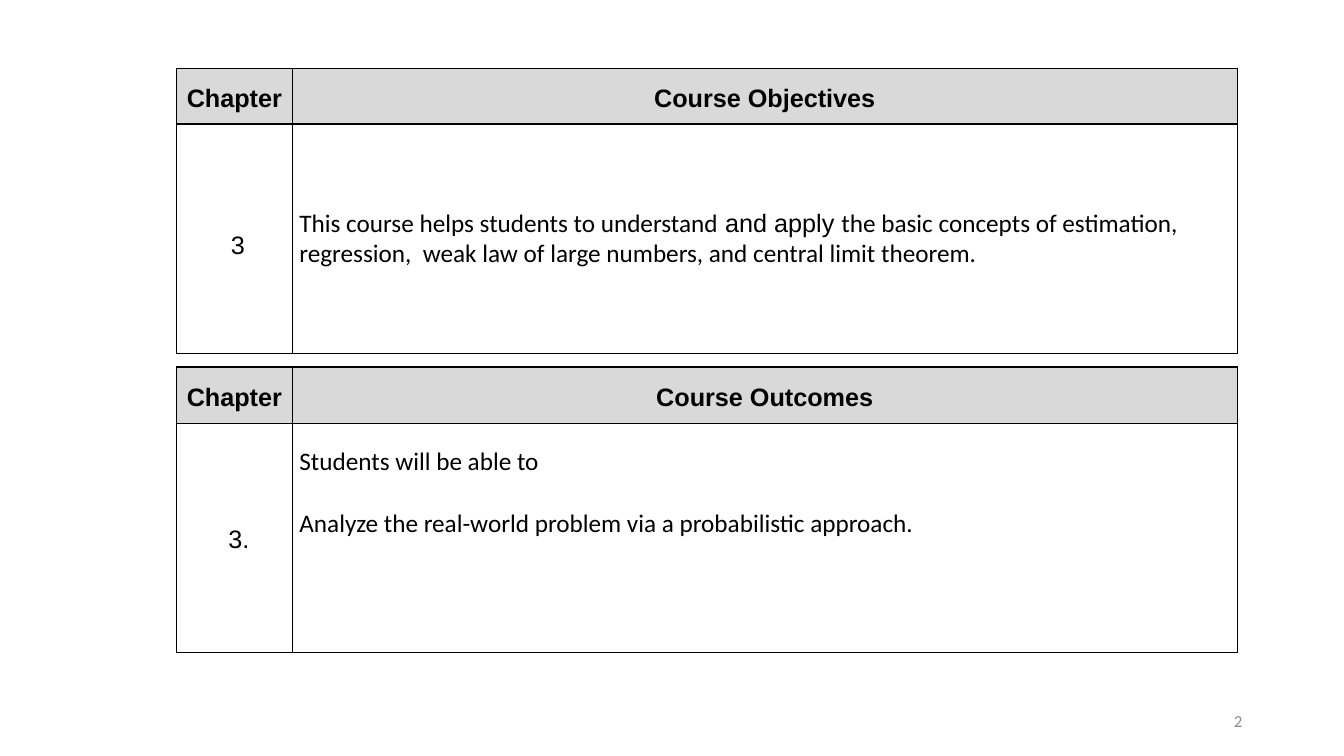
from dataclasses import dataclass

from lxml.etree import SubElement
from pptx import Presentation
from pptx.dml.color import RGBColor
from pptx.enum.text import MSO_ANCHOR as Anchor, PP_ALIGN as Align
from pptx.oxml.ns import qn
from pptx.slide import Slide
from pptx.table import _Cell as Cell
from pptx.util import Inches, Pt


@dataclass(frozen=True)
class Theme:
    ink: str = "000000"
    header_fill: str = "D9D9D9"
    muted: str = "8C8C8C"
    heading_font: str = "Arial"
    body_font: str = "Calibri"
    text_size: float = 18
    number_size: float = 12
    border_width: float = 1


THEME = Theme()


@dataclass(frozen=True)
class Span:
    text: str
    font: str = THEME.body_font
    bold: bool = False
    size: float = THEME.text_size
    color: str = THEME.ink


@dataclass(frozen=True)
class Para:
    spans: tuple[Span, ...]
    align: Align = Align.LEFT
    line_spacing: float = 1.0
    before: float = 0
    after: float = 0
    left: float = 0
    indent: float = 0


@dataclass(frozen=True)
class CellText:
    paras: tuple[Para, ...]
    anchor: Anchor = Anchor.MIDDLE
    top_margin: float = 0
    fill: str = ""


@dataclass(frozen=True)
class CourseTable:
    top: float
    row_heights: tuple[float, float]
    title: str
    chapter: Para
    body: CellText


TABLE_LEFT = 1.75
COLUMN_WIDTHS = (1.15, 9.37)
SIDE_MARGIN = 0.07

TABLES = (
    CourseTable(
        0.68, (0.55, 2.28), "Course Objectives",
        Para((Span(" 3", THEME.heading_font),), Align.CENTER, 1.5, left=0.38, indent=-0.38),
        CellText((Para((
            Span("This course helps students to understand"),
            Span(" and apply ", THEME.heading_font),
            Span("the basic concepts of estimation, regression,  weak law of large numbers, "
                 "and central limit theorem."),
        )),)),
    ),
    CourseTable(
        3.64, (0.56, 2.27), "Course Outcomes",
        Para((Span("3.", THEME.heading_font),), Align.CENTER, 1.15,
             after=10, left=0.37, indent=-0.28),
        CellText((
            Para((Span("Students will be able to "),), Align.JUSTIFY),
            Para((Span("Analyze the real-world problem via a probabilistic approach."),),
                 Align.JUSTIFY, before=22),
        ), Anchor.TOP, top_margin=0.23),
    ),
)


def header(title: str) -> CellText:
    span = Span(title, THEME.heading_font, bold=True)
    return CellText((Para((span,), Align.CENTER, 1.15, after=10),), fill=THEME.header_fill)


def write_paras(frame, paras: tuple[Para, ...]) -> None:
    frame.word_wrap = True
    for index, para in enumerate(paras):
        paragraph = frame.add_paragraph() if index else frame.paragraphs[0]
        paragraph.alignment = para.align
        paragraph.line_spacing = para.line_spacing
        paragraph.space_before = Pt(para.before)
        paragraph.space_after = Pt(para.after)
        properties = paragraph._p.get_or_add_pPr()
        properties.set("marL", str(Inches(para.left)))
        properties.set("indent", str(Inches(para.indent)))
        for span in para.spans:
            run = paragraph.add_run()
            run.text = span.text
            run.font.name = span.font
            run.font.size = Pt(span.size)
            run.font.bold = span.bold
            run.font.color.rgb = RGBColor.from_string(span.color)


def add_borders(cell: Cell) -> None:
    properties = cell._tc.get_or_add_tcPr()
    for side in ("lnL", "lnR", "lnT", "lnB"):
        line = SubElement(properties, qn(f"a:{side}"), w=str(Pt(THEME.border_width)))
        fill = SubElement(line, qn("a:solidFill"))
        SubElement(fill, qn("a:srgbClr"), val=THEME.ink)


def fill_cell(cell: Cell, content: CellText) -> None:
    add_borders(cell)
    if content.fill:
        cell.fill.solid()
        cell.fill.fore_color.rgb = RGBColor.from_string(content.fill)
    else:
        cell.fill.background()
    cell.vertical_anchor = content.anchor
    cell.margin_left = cell.margin_right = Inches(SIDE_MARGIN)
    cell.margin_top = Inches(content.top_margin)
    cell.margin_bottom = 0
    write_paras(cell.text_frame, content.paras)


def add_course_table(page: Slide, course: CourseTable) -> None:
    table = page.shapes.add_table(
        2, 2, Inches(TABLE_LEFT), Inches(course.top),
        Inches(sum(COLUMN_WIDTHS)), Inches(sum(course.row_heights)),
    ).table
    table.first_row = table.horz_banding = False
    for column, width in zip(table.columns, COLUMN_WIDTHS):
        column.width = Inches(width)
    for row, height in zip(table.rows, course.row_heights):
        row.height = Inches(height)
    contents = (header("Chapter"), header(course.title), CellText((course.chapter,)), course.body)
    for cell, content in zip(table.iter_cells(), contents):
        fill_cell(cell, content)


def add_page_number(page: Slide, number: str) -> None:
    box = page.shapes.add_textbox(Inches(9.42), Inches(6.95), Inches(3), Inches(0.4))
    box.text_frame.vertical_anchor = Anchor.MIDDLE
    span = Span(number, size=THEME.number_size, color=THEME.muted)
    write_paras(box.text_frame, (Para((span,), Align.RIGHT),))


def main() -> None:
    deck = Presentation()
    deck.slide_width, deck.slide_height = Inches(13.33), Inches(7.5)
    page = deck.slides.add_slide(deck.slide_layouts[6])
    add_page_number(page, "2")
    for course in TABLES:
        add_course_table(page, course)
    deck.save("out.pptx")


if __name__ == "__main__":
    main()
